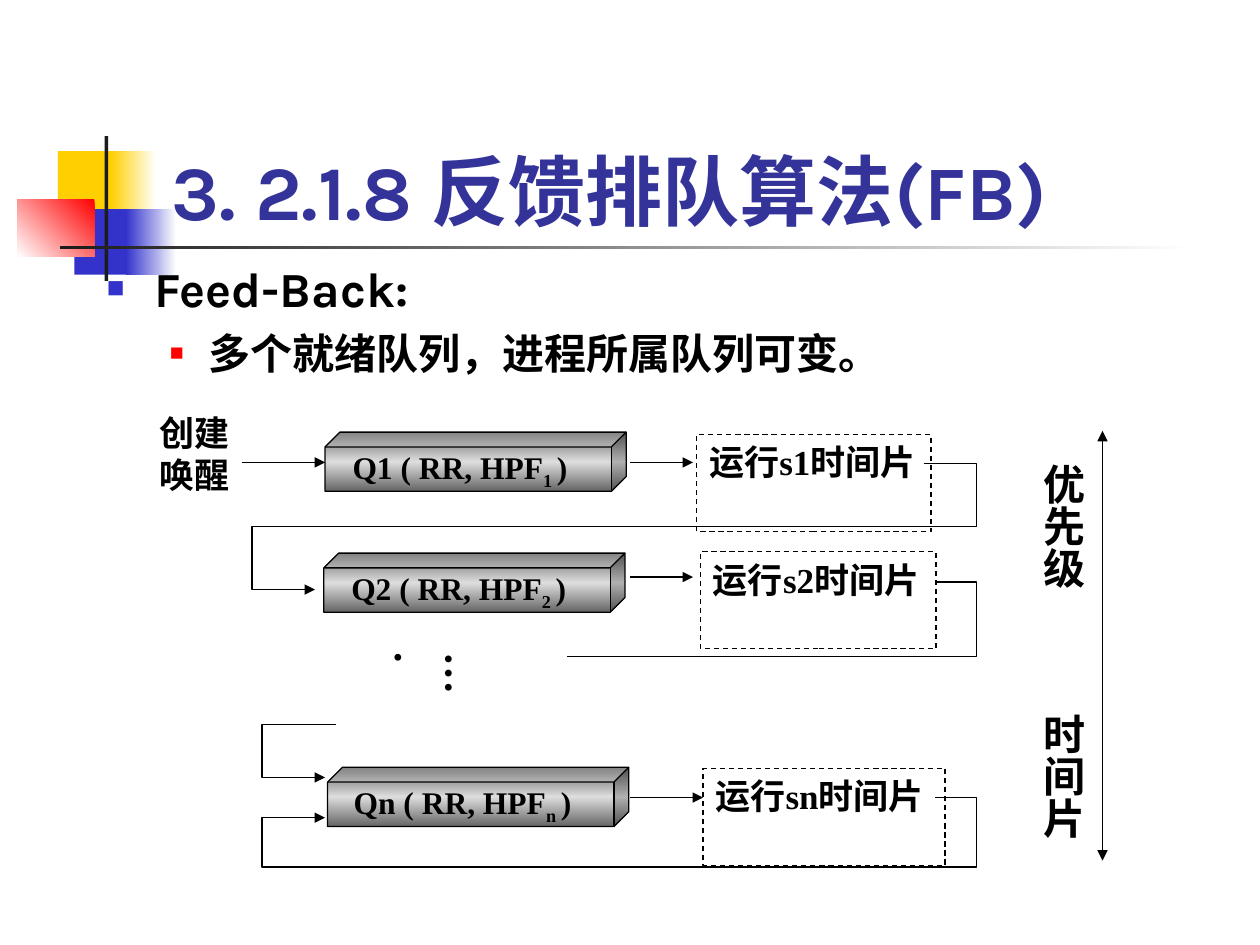
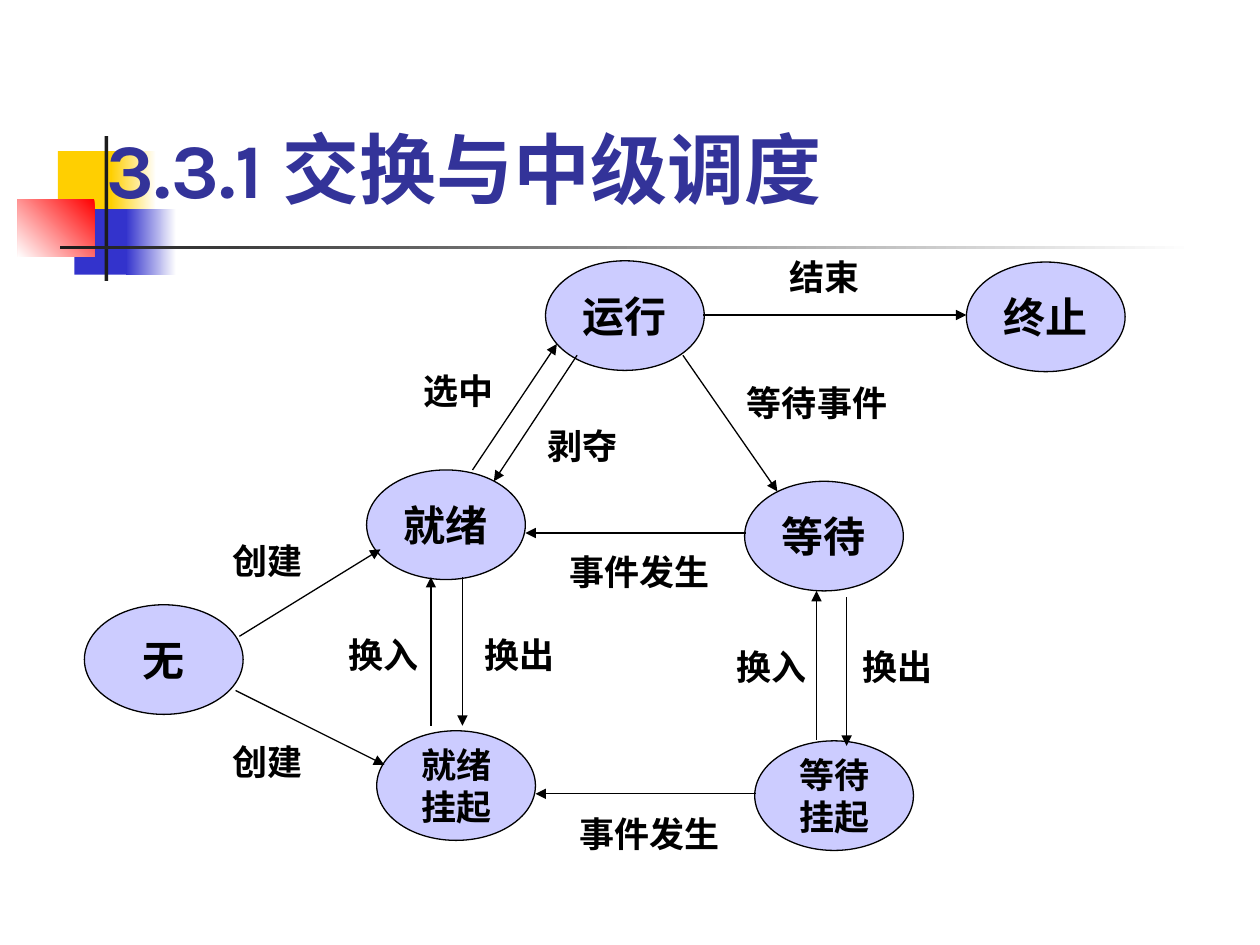
import pptx
import pptx.util
import pptx.dml.color
import pptx.enum.dml
import pptx.enum.shapes
import pptx.enum.text
import pptx.oxml
import pptx.oxml.ns
from lxml import etree

Inches = pptx.util.Inches
Pt = pptx.util.Pt
qn = pptx.oxml.ns.qn
SHAPES = pptx.enum.shapes.MSO_SHAPE
ANCHOR = pptx.enum.text.MSO_ANCHOR
ALIGN = pptx.enum.text.PP_ALIGN

COLORS = {
    "yellow": "FFCF01", "blue": "3333CC", "red": "FF0000", "white": "FFFFFF",
    "dark": "1C1C1C", "black": "000000", "title": "333399", "state": "CCCCFF",
    "metal": "656565", "shine": "DDDDDD",
}
HEADING_FONT = "Karla"
LABEL_FONT = "Times New Roman"

DECORATION = [
    ((0.46, 1.2, 0.48, 0.52), ["yellow"], 0),
    ((0.88, 1.2, 0.36, 0.52), ["white", "yellow"], 180),
    ((0.59, 1.66, 0.46, 0.52), ["blue"], 0),
    ((1, 1.66, 0.4, 0.52), ["white", "blue"], 180),
    ((0.14, 1.58, 0.61, 0.46), ["red", "white"], 135),
    ((0.83, 1.08, 0.03, 1.15), ["dark"], 0),
    ((0.48, 1.95, 9, 0.03), ["white", "dark"], 180),
]

FEEDBACK_TITLE = ("3. 2.1.8 反馈排队算法(FB)", (1.26, 0.67, 8.52, 1.25))
FEEDBACK_POINTS = [
    ("Feed-Back:", 28, 0.38, 0.38, "blue", 60, 0),
    ("多个就绪队列，进程所属队列可变。", 24, 0.81, 0.31, "red", 55, 6),
]
QUEUES = [
    ("1", (2.58, 3.43), (5.53, 3.45, 1.86), (3.67, 5.5)),
    ("2", (2.57, 4.39), (5.56, 4.38, 1.87), (4.58, 5.5)),
    ("n", (2.6, 6.09), (5.58, 6.1, 1.92), (6.33, 5.58)),
]
FEEDBACK_LABELS = [("创建唤醒", (1.17, 3.22, 0.83, 0.77))]
VERTICAL_LABELS = [
    ("….", (3.32, 5.08, 0.6, 0.58)),
    ("优先级", (8.09, 3.58, 0.6, 1.3)),
    ("时间片", (8.09, 5.56, 0.6, 1.3)),
]
RETURN_PATHS = [
    ([(7.33, 3.68), (7.75, 3.68), (7.75, 4.18), (2, 4.18), (2, 4.68), (2.5, 4.68)], True),
    ([(2.67, 5.75), (2.08, 5.75), (2.08, 6.17), (2.58, 6.17)], True),
    ([(7.42, 4.62), (7.75, 4.62), (7.75, 5.21), (4.5, 5.21)], False),
    ([(7.42, 6.33), (7.75, 6.33), (7.75, 6.88), (2.08, 6.88), (2.08, 6.49), (2.58, 6.49)], True),
]

SWAP_TITLE = ("3.3.1 交换与中级调度", (0.75, 0.5, 8.5, 1.25))
STATE_SIZE = (1.26, 0.87)
STATES = [
    ("就绪", 2.91, 3.73, 24),
    ("等待", 5.91, 3.82, 24),
    ("运行", 4.33, 2.07, 24),
    ("就绪\n挂起", 2.99, 5.8, 20),
    ("等待\n挂起", 5.99, 5.88, 20),
    ("无", 0.67, 4.8, 24),
    ("终止", 7.67, 2.08, 24),
]
TRANSITIONS = [
    ((4.58, 2.82), (3.92, 3.82)),
    ((5.42, 2.82), (6.17, 3.9)),
    ((5.92, 4.23), (4.17, 4.23)),
    ((3.75, 3.73), (4.42, 2.73)),
    ((6, 6.3), (4.25, 6.3)),
    ((1.9, 5.05), (3.02, 4.36)),
    ((1.87, 5.48), (3.05, 6.07)),
    ((5.58, 2.5), (7.67, 2.5)),
    ((3.67, 4.58), (3.67, 5.76)),
    ((3.42, 5.76), (3.42, 4.58)),
    ((6.72, 4.74), (6.72, 5.92)),
    ((6.48, 5.87), (6.48, 4.69)),
]
TRANSITION_LABELS = [
    ("剥夺", 4.25, 3.32),
    ("选中", 3.26, 2.88),
    ("等待事件", 5.83, 2.98),
    ("事件发生", 4.42, 4.32),
    ("创建", 1.75, 4.23),
    ("创建", 1.75, 5.83),
    ("结束", 6.17, 1.98),
    ("换出", 3.75, 4.98),
    ("换出", 6.75, 5.07),
    ("换入", 2.67, 4.98),
    ("换入", 5.75, 5.07),
    ("事件发生", 4.5, 6.4),
]


def rgb(name):
    return pptx.dml.color.RGBColor.from_string(COLORS[name])


def place(area):
    return [Inches(value) for value in area]


def add_color(parent, name):
    etree.SubElement(parent, qn("a:srgbClr")).set("val", COLORS[name])


def paint(shape, names, angle=0):
    shape.shadow.inherit = False
    if not names:
        shape.fill.background()
    elif len(names) == 1:
        shape.fill.solid()
        shape.fill.fore_color.rgb = rgb(names[0])
    else:
        shape.fill.gradient()
        gradient = shape._element.spPr.find(qn("a:gradFill"))
        stops = gradient.find(qn("a:gsLst"))
        for stop in list(stops):
            stops.remove(stop)
        for index, name in enumerate(names):
            stop = etree.SubElement(stops, qn("a:gs"))
            stop.set("pos", str(index * 100000 // (len(names) - 1)))
            add_color(stop, name)
        direction = gradient.find(qn("a:lin"))
        direction.set("ang", str(angle * 60000))
        direction.set("scaled", "0")


def outline(shape, arrows=()):
    shape.line.color.rgb = rgb("black")
    shape.line.width = Pt(0.75)
    for end in arrows:
        tip = etree.SubElement(shape.line._get_or_add_ln(), qn("a:" + end))
        tip.set("type", "triangle")


def style(frame, size, font=LABEL_FONT, color="black", align=ALIGN.LEFT):
    for para in frame.paragraphs:
        para.alignment = align
        for span in para.runs:
            span.font.size = Pt(size)
            span.font.name = font
            span.font.bold = True
            span.font.color.rgb = rgb(color)


def add_label(page, text, area, size=20, **look):
    box = page.shapes.add_textbox(*place(area))
    box.text_frame.word_wrap = True
    box.text_frame.text = text
    style(box.text_frame, size, **look)
    return box


def add_vertical_label(page, text, area):
    frame = add_label(page, text, area, 24).text_frame
    frame.margin_left = frame.margin_right = Inches(0.05)
    frame.margin_top = frame.margin_bottom = Inches(0.1)
    frame._txBody.bodyPr.set("vert", "eaVert")


def add_arrow(page, start, finish, arrows=("tailEnd",)):
    arrow = page.shapes.add_connector(
        pptx.enum.shapes.MSO_CONNECTOR.STRAIGHT, *place(start + finish))
    outline(arrow, arrows)
    etree.SubElement(arrow._element.spPr, qn("a:effectLst"))


def add_page(deck, title):
    page = deck.slides.add_slide(deck.slide_layouts[6])
    for area, names, angle in DECORATION:
        block = page.shapes.add_shape(SHAPES.RECTANGLE, *place(area))
        paint(block, names, angle)
        block.line.fill.background()
    text, area = title
    box = add_label(page, text, area, 44, font=HEADING_FONT, color="title")
    box.text_frame.vertical_anchor = ANCHOR.BOTTOM
    return page


def add_points(page, points, area):
    box = add_label(page, "\n".join(point[0] for point in points), area)
    for para, point in zip(box.text_frame.paragraphs, points):
        text, size, margin, hang, color, scale, before = point
        para.space_before = Pt(before)
        props = para._p.get_or_add_pPr()
        props.set("marL", str(Inches(margin)))
        props.set("indent", str(-Inches(hang)))
        add_color(etree.SubElement(props, qn("a:buClr")), color)
        etree.SubElement(props, qn("a:buSzPct")).set("val", str(scale * 1000))
        etree.SubElement(props, qn("a:buFont")).set("typeface", LABEL_FONT)
        etree.SubElement(props, qn("a:buChar")).set("char", "■")
        for span in para.runs:
            span.font.size = Pt(size)
            span.font.name = HEADING_FONT


def add_queue(page, name, corner, run_area, arrow):
    level, arrow_end = arrow
    add_arrow(page, (5, level), (arrow_end, level))

    run_box = page.shapes.add_shape(SHAPES.RECTANGLE, *place(run_area + (0.77,)))
    paint(run_box, [])
    outline(run_box)
    run_box.line.dash_style = pptx.enum.dml.MSO_LINE.DASH
    run_box.text_frame.word_wrap = True
    run_box.text_frame.vertical_anchor = ANCHOR.TOP
    run_box.text_frame.text = f"运行s{name}时间片"
    style(run_box.text_frame, 20)

    cube = page.shapes.add_shape(SHAPES.CUBE, *place(corner + (2.39, 0.47)))
    cube.adjustments[0] = 0.25
    paint(cube, ["metal", "shine", "metal"], 90)
    outline(cube)
    frame = cube.text_frame
    frame.word_wrap = False
    frame.vertical_anchor = ANCHOR.MIDDLE
    frame.margin_right = Inches(0.23)
    frame.text = f"Q{name} ( RR, HPF"
    para = frame.paragraphs[0]
    subscript = para.add_run()
    subscript.text = name + " "
    subscript.font._element.set("baseline", "-25000")
    para.add_run().text = ")"
    style(frame, 18, align=ALIGN.CENTER)


def build_feedback(deck):
    page = add_page(deck, FEEDBACK_TITLE)
    add_points(page, FEEDBACK_POINTS, (0.75, 2, 8.5, 4.67))
    for text, area in FEEDBACK_LABELS:
        add_label(page, text, area)
    for text, area in VERTICAL_LABELS:
        add_vertical_label(page, text, area)
    add_arrow(page, (1.92, 3.67), (2.58, 3.67))
    add_arrow(page, (8.75, 3.42), (8.75, 6.83), ("headEnd", "tailEnd"))
    for points, has_arrow in RETURN_PATHS:
        corners = [place(point) for point in points]
        builder = page.shapes.build_freeform(*corners[0])
        builder.add_line_segments(corners[1:], close=False)
        route = builder.convert_to_shape()
        paint(route, [])
        outline(route, ["tailEnd"] if has_arrow else [])
    for queue in QUEUES:
        add_queue(page, *queue)


def build_swapping(deck):
    page = add_page(deck, SWAP_TITLE)
    for text, left, top in TRANSITION_LABELS:
        width = 1.33 if len(text) > 2 else 0.83
        add_label(page, text, (left, top, width, 0.44))
    for text, left, top, size in STATES:
        state = page.shapes.add_shape(SHAPES.OVAL, *place((left, top) + STATE_SIZE))
        paint(state, ["state"])
        outline(state)
        state.text_frame.word_wrap = False
        state.text_frame.vertical_anchor = ANCHOR.MIDDLE
        state.text_frame.text = text
        style(state.text_frame, size, align=ALIGN.CENTER)
    for start, finish in TRANSITIONS:
        add_arrow(page, start, finish)


def main():
    deck = pptx.Presentation()
    deck.slide_width = Inches(10)
    deck.slide_height = Inches(7.5)
    build_feedback(deck)
    build_swapping(deck)
    deck.save("out.pptx")


if __name__ == "__main__":
    main()
